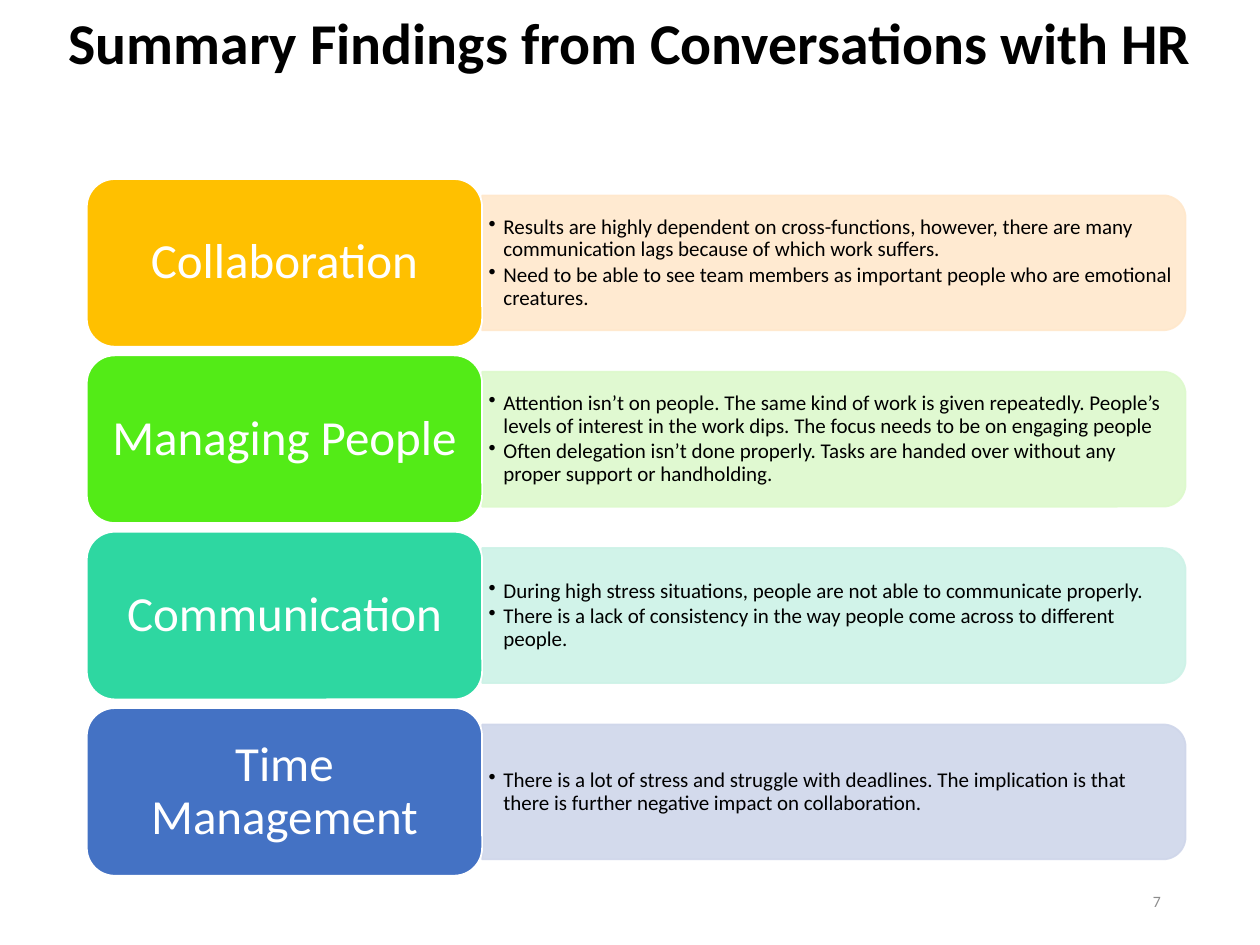
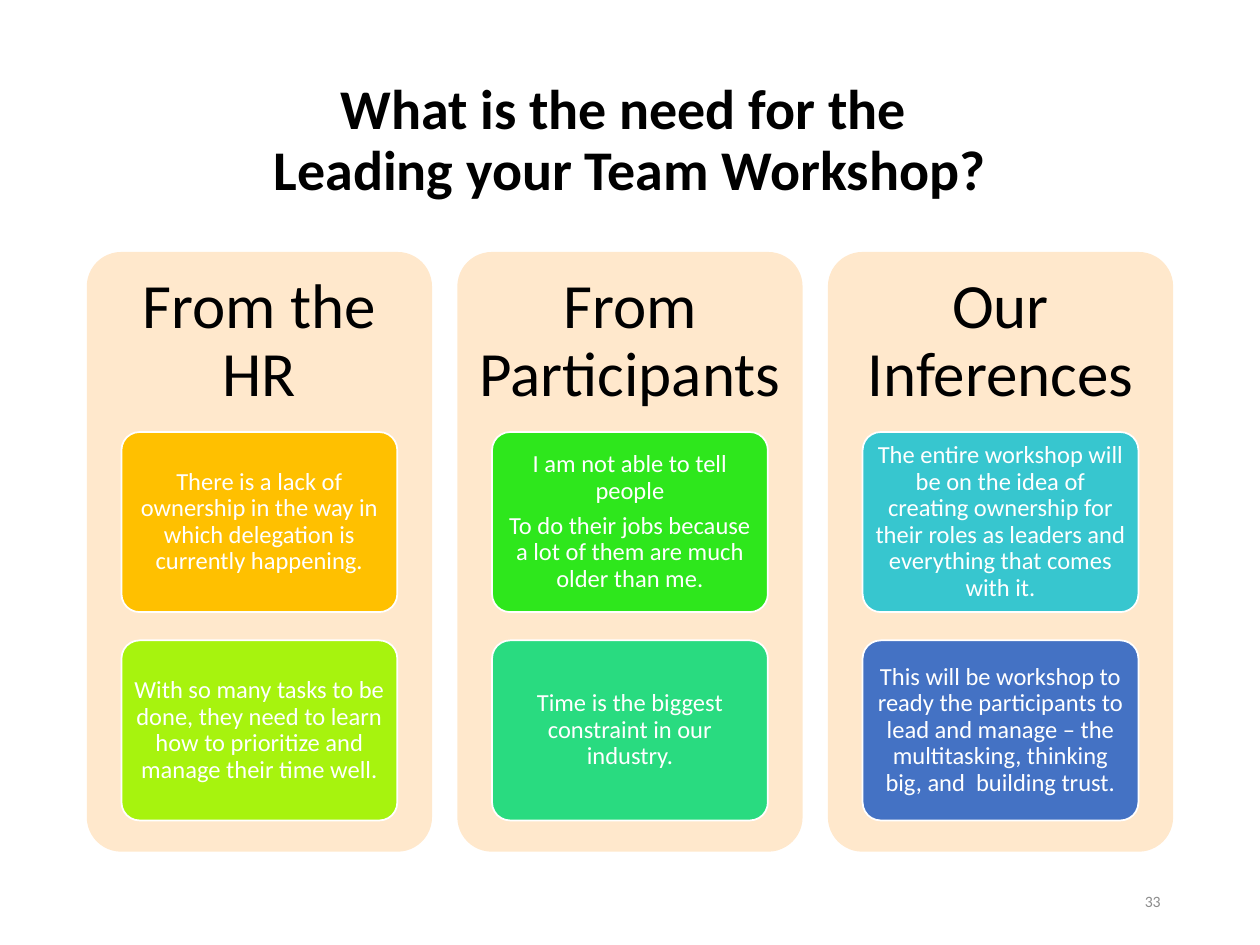
from copy import deepcopy

from lxml.etree import SubElement
from pptx import Presentation
from pptx.dml.color import RGBColor
from pptx.enum.shapes import MSO_SHAPE
from pptx.enum.text import MSO_ANCHOR, MSO_AUTO_SIZE, PP_ALIGN
from pptx.oxml.ns import qn
from pptx.util import Cm, Pt

FONT = "Calibri"
COLORS = {
    "black": "000000", "white": "FFFFFF", "grey": "8C8C8C",
    "amber": "FFC000", "lime": "A7F30E", "grass": "53EB17",
    "green": "2EE71C", "jade": "29DB80", "mint": "2ED7A1",
    "cyan": "37C6CF", "blue": "4472C4",
    "pale amber": "FFE8CC", "pale grass": "DDF9CC",
    "pale mint": "CDF2E7", "pale blue": "CFD6EA",
}


def write_text(box, *texts, size, color="white", bold=False, align=PP_ALIGN.CENTER,
               margins=(0.25, 0.13), spacing=0.9, after=0, bullet=False):
    """Fill a box with one paragraph per text; after is a share of the font size."""
    frame = box.text_frame
    frame.word_wrap = True
    frame.auto_size = MSO_AUTO_SIZE.NONE
    frame.vertical_anchor = MSO_ANCHOR.MIDDLE
    frame.margin_left = frame.margin_right = Cm(margins[0])
    frame.margin_top = frame.margin_bottom = Cm(margins[1])
    for number, text in enumerate(texts):
        para = frame.add_paragraph() if number else frame.paragraphs[0]
        para.text = text
        para.alignment = align
        para.line_spacing = spacing
        para.space_after = Pt(round(size * after, 1))
        if bullet:
            properties = para._p.get_or_add_pPr()
            properties.set("marL", str(Cm(0.3)))
            properties.set("indent", str(-Cm(0.3)))
            SubElement(properties, qn("a:buChar"), char="•")
        for span in para.runs:
            span.font.name = FONT
            span.font.size = Pt(size)
            span.font.bold = bold
            span.font.color.rgb = RGBColor.from_string(COLORS[color])
        # Line breaks take the format of the text around them
        for line_break in para._p.findall(qn("a:br")):
            line_break.append(deepcopy(para.runs[0]._r.rPr))


def add_block(page, preset, left, top, width, height, fill, line=None, corner=None, opacity=None):
    """Add a filled preset shape, with an optional outline; lengths in cm."""
    block = page.shapes.add_shape(preset, Cm(left), Cm(top), Cm(width), Cm(height))
    block.shadow.inherit = False
    block.fill.solid()
    block.fill.fore_color.rgb = RGBColor.from_string(COLORS[fill])
    if line:
        block.line.color.rgb = RGBColor.from_string(COLORS[line])
        block.line.width = Pt(1)
    else:
        block.line.fill.background()
    if corner:
        block.adjustments[0] = corner
    if opacity:
        for tint in block._element.spPr.iter(qn("a:srgbClr")):
            SubElement(tint, qn("a:alpha"), val=str(opacity * 1000))
    return block


deck = Presentation()
deck.slide_width, deck.slide_height = Cm(25.4), Cm(19.05)

# Titles and page numbers
pages = []
for title, size, place, number in [
    ("Summary Findings from Conversations with HR", 33, (0, -0.08, 25.4, 2), "7"),
    ("What is the need for the \vLeading your Team Workshop?", 32, (1.75, 1.02, 21.9, 3.68), "33"),
]:
    page = deck.slides.add_slide(deck.slide_layouts[5])
    heading = page.shapes.title
    heading.left, heading.top, heading.width, heading.height = map(Cm, place)
    write_text(heading, title, size=size, color="black", bold=True)
    footer = page.shapes.add_textbox(Cm(17.93), Cm(17.65), Cm(5.72), Cm(1.02))
    write_text(footer, number, size=9, color="grey", align=PP_ALIGN.RIGHT, spacing=1)
    pages.append(page)
findings_page, needs_page = pages

# Findings: a theme label and its band in each row
findings = [
    ("Collaboration", "amber", [
        "Results are highly dependent on cross-functions, however, there are many "
        "communication lags because of which work suffers.",
        "Need to be able to see team members as important people who are emotional creatures."]),
    ("Managing People", "grass", [
        "Attention isn’t on people. The same kind of work is given repeatedly. People’s levels "
        "of interest in the work dips. The focus needs to be on engaging people",
        "Often delegation isn’t done properly. Tasks are handed over without any proper "
        "support or handholding."]),
    ("Communication", "mint", [
        "During high stress situations, people are not able to communicate properly.",
        "There is a lack of consistency in the way people come across to different people."]),
    ("Time Management", "blue", [
        "There is a lot of stress and struggle with deadlines. The implication is that there "
        "is further negative impact on collaboration."]),
]
label_left, label_width, label_height = 1.75, 7.97, 3.38
band_left, band_width, band_height = label_left + label_width, 14.18, 2.72
for row, (theme, color, points) in enumerate(findings):
    top = 3.61 + row * 3.555
    middle = top + label_height / 2
    # The band stands upright and is turned so that its round corners face right
    band = add_block(findings_page, MSO_SHAPE.ROUND_2_SAME_RECTANGLE,
                     band_left + (band_width - band_height) / 2, middle - band_width / 2,
                     band_height, band_width, f"pale {color}", line=f"pale {color}", opacity=90)
    band.rotation = 90
    notes = findings_page.shapes.add_textbox(Cm(band_left), Cm(middle - 1.22), Cm(14.05), Cm(2.44))
    write_text(notes, *points, size=12, color="black", align=PP_ALIGN.LEFT,
               margins=(0.13, 0.08), after=0.15, bullet=True)
    label = add_block(findings_page, MSO_SHAPE.ROUNDED_RECTANGLE, label_left, top,
                      label_width, label_height, color, line="white")
    write_text(label, theme, size=28, margins=(0.3, 0.15), after=0.35)

# Needs: three columns, each with a heading and two cards
needs = [
    ("From the HR", [
        ("amber", ["There is a lack of ownership in the way in which delegation is "
                   "currently happening."]),
        ("lime", ["With so many tasks to be done, they need to learn how to prioritize and "
                  "manage their time well."])]),
    ("From Participants", [
        ("green", ["I am not able to tell people",
                   "To do their jobs because a lot of them are much older than me."]),
        ("jade", ["Time is the biggest constraint in our industry."])]),
    ("Our Inferences", [
        ("cyan", ["The entire workshop will be on the idea of creating ownership for their "
                  "roles as leaders and everything that comes with it."]),
        ("blue", ["This will be workshop to ready the participants to lead and manage – the "
                  "multitasking, thinking big, and  building trust."])]),
]
column_width, column_top, card_height = 6.96, 5.08, 3.63
for column, (source, cards) in enumerate(needs):
    left = 1.75 + column * 7.47
    add_block(needs_page, MSO_SHAPE.ROUNDED_RECTANGLE, left, column_top, column_width, 12.09,
              "pale amber", corner=0.1)
    heading = needs_page.shapes.add_textbox(Cm(left), Cm(column_top), Cm(column_width), Cm(card_height))
    write_text(heading, source, size=36, color="black", margins=(0.38, 0.38), after=0.35)
    for row, (color, texts) in enumerate(cards):
        card = add_block(needs_page, MSO_SHAPE.ROUNDED_RECTANGLE, left + 0.7,
                         column_top + card_height + row * 4.2, 5.56, card_height,
                         color, line="white", corner=0.1)
        write_text(card, *texts, size=14, margins=(0.1, 0.08), after=0.35)

deck.save("out.pptx")
